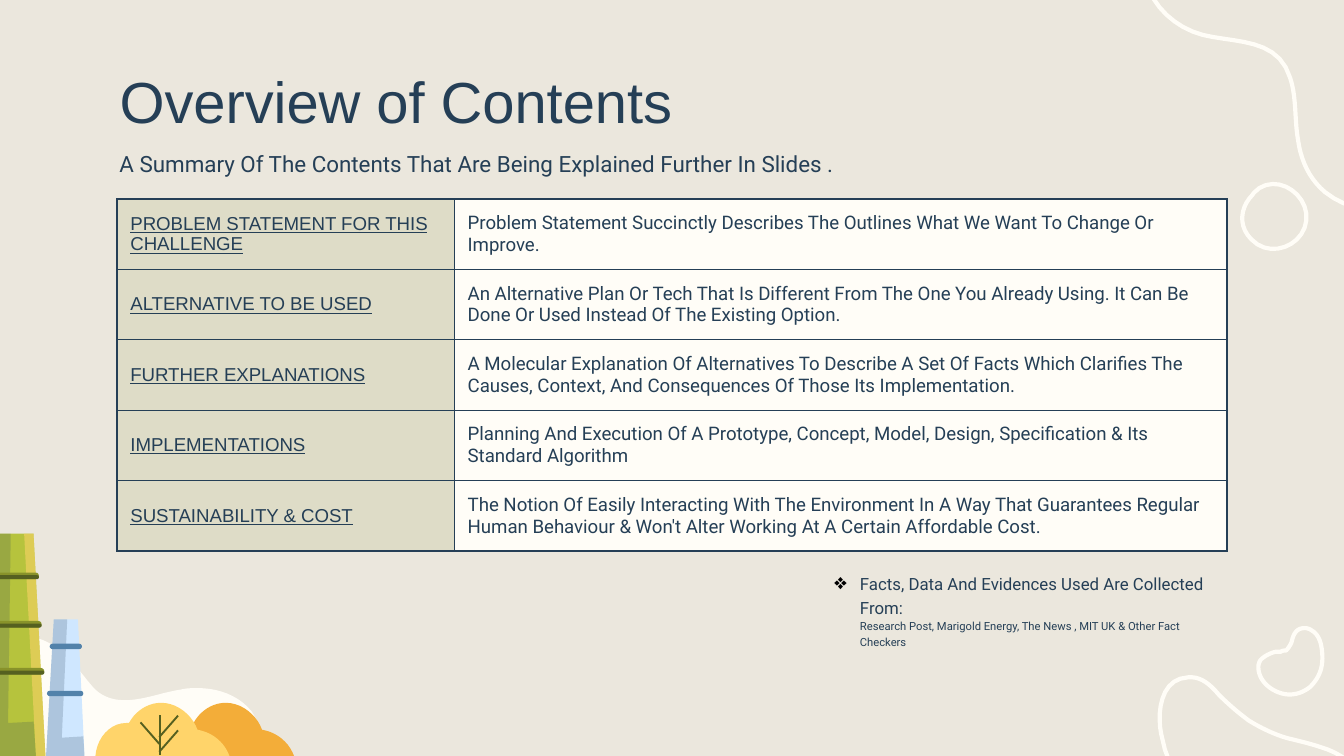
from pptx import Presentation
from pptx.dml.color import RGBColor
from pptx.enum import shapes, text
from pptx.oxml import ns, xmlchemy
from pptx.util import Inches, Pt


class Theme:
    paper, cream, navy, black = "EBE7DD", "FFFDF7", "253F56", "000000"
    green, olive, moss = "B6C33D", "88922A", "556020"
    sky, blue, yellow, orange = "CFE7FF", "5282AA", "FFD46A", "F3AD39"
    heading, body = "Arial", "Roboto"
    title_size, subtitle_size, table_size, note_size, source_size = 31, 12, 10, 9, 6


T = Theme()
ROWS = [
    ("PROBLEM STATEMENT FOR THIS CHALLENGE",
     "Problem Statement Succinctly Describes The Outlines What We Want To Change Or Improve."),
    ("ALTERNATIVE TO BE USED", "An Alternative Plan Or Tech That Is Different From The One You "
     "Already Using. It Can Be Done Or Used Instead Of The Existing Option."),
    ("FURTHER EXPLANATIONS", "A Molecular Explanation Of Alternatives To Describe A Set Of Facts "
     "Which Clarifies The Causes, Context, And Consequences Of Those Its Implementation."),
    ("IMPLEMENTATIONS", "Planning And Execution Of A Prototype, Concept, Model, Design, "
     "Specification & Its Standard Algorithm"),
    ("SUSTAINABILITY & COST", "The Notion Of Easily Interacting With The Environment In A Way That "
     "Guarantees Regular Human Behaviour & Won't Alter Working At A Certain Affordable Cost."),
]

# Curves: a start point, then two control points and an end point per segment.
HILL = [(.11, .72), (-.03, .72, -.16, .77, -.26, .86), (-.43, .93, -.55, 1.1, -.56, 1.29),
        (-.57, 1.49, -.44, 1.68, -.26, 1.76), (-.16, 1.81, -.05, 1.82, .07, 1.83),
        (.19, 1.84, .32, 1.85, .45, 1.85), (.71, 1.86, .97, 1.86, 1.23, 1.86),
        (1.31, 1.86, 1.4, 1.87, 1.49, 1.87), (1.52, 1.87, 1.56, 1.87, 1.59, 1.87),
        (1.69, 1.86, 1.79, 1.83, 1.86, 1.76), (1.97, 1.63, 1.97, 1.43, 1.87, 1.29),
        (1.77, 1.17, 1.62, 1.12, 1.47, 1.12), (1.43, 1.12, 1.39, 1.12, 1.35, 1.13),
        (1.21, 1.15, 1.07, 1.21, .93, 1.21), (.85, 1.21, .76, 1.19, .69, 1.11),
        (.62, 1.03, .56, .94, .48, .87), (.4, .79, .3, .74, .18, .73), (.16, .72, .13, .72, .11, .72)]
SWIRL = [(.64, -.68), (.55, -.58, .49, -.45, .5, -.31), (.5, -.03, .69, .19, .95, .26),
         (1.19, .32, 1.51, .28, 1.6, .58), (1.65, .73, 1.63, .89, 1.66, 1.05),
         (1.68, 1.19, 1.74, 1.33, 1.86, 1.43), (2.07, 1.6, 2.37, 1.6, 2.58, 1.42),
         (2.61, 1.4, 2.63, 1.39, 2.65, 1.36), (2.82, 1.16, 2.79, .88, 2.74, .63),
         (2.72, .49, 2.7, .34, 2.76, .21), (2.78, .19, 2.79, .16, 2.81, .14),
         (2.88, .06, 3, .02, 3.09, -.04), (3.17, -.08, 3.25, -.14, 3.31, -.21),
         (3.42, -.35, 3.5, -.51, 3.5, -.69), (3.51, -.96, 3.36, -1.23, 3.12, -1.37),
         (2.89, -1.5, 2.58, -1.5, 2.35, -1.36), (2.28, -1.32, 2.24, -1.28, 2.18, -1.22),
         (1.93, -.95, 1.56, -.83, 1.19, -.88), (1.1, -.89, 1.02, -.89, .93, -.87),
         (.82, -.84, .71, -.77, .64, -.68)]
RING = [(1.37, 1.4), (1.35, 1.42, 1.33, 1.43, 1.32, 1.45), (1.23, 1.54, 1.21, 1.68, 1.31, 1.78),
        (1.45, 1.93, 1.7, 1.83, 1.72, 1.64), (1.74, 1.46, 1.53, 1.3, 1.37, 1.4)]
WAVE = [(2.16, 1.93), (2.14, 2.13, 1.95, 2.25, 1.77, 2.28), (1.66, 2.3, 1.54, 2.29, 1.43, 2.27),
        (1.42, 2.27, 1.42, 2.27, 1.41, 2.26), (1.02, 2.18, .71, 1.86, .64, 1.46),
        (.61, 1.31, .63, 1.05, .84, 1.04), (.94, 1.03, 1.01, 1.1, 1.07, 1.17),
        (1.14, 1.24, 1.21, 1.3, 1.29, 1.36), (1.37, 1.41, 1.47, 1.46, 1.57, 1.49),
        (1.65, 1.51, 1.74, 1.53, 1.83, 1.56), (2, 1.61, 2.17, 1.74, 2.16, 1.93)]
BEAN = [(1.75, 1.11), (1.69, 1.16, 1.61, 1.18, 1.54, 1.16), (1.46, 1.14, 1.39, 1.08, 1.37, 1.01),
        (1.36, .97, 1.36, .94, 1.38, .91), (1.41, .88, 1.45, .86, 1.49, .85),
        (1.5, .85, 1.51, .85, 1.53, .85), (1.54, .84, 1.56, .84, 1.57, .84),
        (1.59, .82, 1.6, .8, 1.61, .78), (1.62, .74, 1.63, .7, 1.67, .68),
        (1.7, .67, 1.73, .67, 1.76, .69), (1.83, .73, 1.84, .83, 1.84, .9),
        (1.84, .98, 1.81, 1.05, 1.75, 1.11)]
BUSH = [(0, .4), (.01, .26, .11, .15, .23, .15), (.23, .15, .24, .15, .25, .15),
        (.3, .06, .39, 0, .49, 0), (.61, 0, .72, .09, .76, .2), (.87, .22, .96, .29, 1, .4)]


def add_xml(parent, tag, **attributes):
    child = xmlchemy.OxmlElement(tag)
    for name, value in attributes.items():
        child.set(name, str(value))
    parent.append(child)
    return child


def fill_solid(fill, color, props=None, alpha=None):
    fill.solid()
    fill.fore_color.rgb = RGBColor.from_string(color)
    if alpha:
        add_xml(props.find(ns.qn("a:solidFill"))[0], "a:alpha", val=alpha * 1000)


def paint(sp, fill=None, line=None, alpha=None):
    sp.shadow.inherit = False
    sp.fill.background()
    sp.line.fill.background()
    if fill:
        fill_solid(sp.fill, fill, sp.element.spPr, alpha)
    if line:
        fill_solid(sp.line.fill, line)
        sp.line.width = Pt(2.25)


def flatten(curve, steps=10):
    """Turn cubic segments into closely spaced points."""
    points = [curve[0]]
    for x1, y1, x2, y2, x3, y3 in curve[1:]:
        x0, y0 = points[-1]
        for t in (i / steps for i in range(1, steps + 1)):
            a, b, c, d = (1 - t) ** 3, 3 * t * (1 - t) ** 2, 3 * t * t * (1 - t), t ** 3
            points.append((a * x0 + b * x1 + c * x2 + d * x3, a * y0 + b * y1 + c * y2 + d * y3))
    return points


def outline(s, x, y, points, **style):
    pts = [(Inches(x + px), Inches(y + py)) for px, py in points]
    fb = s.shapes.build_freeform(*pts[0])
    fb.add_line_segments(pts[1:], close=True)
    paint(fb.convert_to_shape(), **style)


def pill(s, x, y, w, h, fill):
    sp = s.shapes.add_shape(shapes.MSO_SHAPE.ROUNDED_RECTANGLE, *map(Inches, (x, y, w, h)))
    sp.adjustments[0] = .5
    paint(sp, fill)


def bamboo(s, x, y):
    for points, fill, alpha in (
            ([(0, 1.7), (.09, 0), (.37, 0), (.46, 1.68)], T.green, None),
            ([(0, 1.7), (.09, 0), (.2, 0), (.18, 1.41), (.37, 1.4), (.39, 1.69)], T.navy, 20),
            ([(.39, 1.69), (.46, 1.68), (.37, 0), (.3, 0)], T.yellow, 54),
            ([(.46, 1.7), (.52, .64), (.7, .64), (.75, 1.69)], T.sky, None),
            ([(.62, .64), (.52, .64), (.46, 1.7), (.75, 1.69), (.74, 1.51), (.58, 1.52)], T.navy, 20)):
        outline(s, x, y, points, fill=fill, alpha=alpha)
    for left, top, w in ((.04, .29, .37), (.02, .65, .41), (.01, 1, .44)):
        pill(s, x + left, y + top, w, .05, T.olive)
        pill(s, x + left, y + top + .02, w, .03, T.moss)
    for left, top, w in ((.49, .82, .24), (.47, 1.17, .27)):
        pill(s, x + left, y + top, w, .04, T.blue)


def bushes(s, x, y):
    outline(s, x + .48, y, flatten(BUSH), fill=T.orange)
    outline(s, x, y, flatten(BUSH), fill=T.yellow)
    trunk = [(0, 0), (.02, 0), (.02, .3), (0, .3)]
    branch = [(.15, .01), (.01, .17), (0, .16), (.14, 0)]
    mirrored = [(.15 - px, py) for px, py in branch]
    for left, top, points in ((.47, .09, trunk), (.47, .2, branch), (.47, .09, branch), (.33, .14, mirrored)):
        outline(s, x + left, y + top, points, fill=T.moss)


def set_font(font, name, size, underline=None):
    font.name, font.size, font.underline = name, Pt(size), underline
    font.color.rgb = RGBColor.from_string(T.navy)


def place_frame(sp, x, y, w, h):
    sp.left, sp.top, sp.width, sp.height = map(Inches, (x, y, w, h))
    tf = sp.text_frame
    tf.word_wrap, tf.auto_size, tf.vertical_anchor = True, text.MSO_AUTO_SIZE.NONE, text.MSO_ANCHOR.TOP
    tf.margin_left = tf.margin_right = tf.margin_top = tf.margin_bottom = Inches(.1)
    return tf.paragraphs[0]


def heading(s, x, y, w):
    p = place_frame(s.shapes.title, x, y, w, .63)
    p.text, p.alignment = "Overview of Contents", text.PP_ALIGN.LEFT
    set_font(p.font, T.heading, T.title_size)
    p = place_frame(s.shapes.add_textbox(0, 0, 0, 0), x, y + .63, w, .39)
    p.text = "A Summary Of The Contents That Are Being Explained Further In Slides ."
    set_font(p.font, T.body, T.subtitle_size)


def contents_table(s, x, y, widths, row_height):
    box = map(Inches, (x, y, sum(widths), row_height * len(ROWS)))
    table = s.shapes.add_table(len(ROWS), 2, *box).table
    table.first_row = table.horz_banding = False
    for column, width in zip(table.columns, widths):
        column.width = Inches(width)
    styles = ((T.heading, True, T.olive, 12), (T.body, False, T.cream, None))
    for i, row in enumerate(ROWS):
        for j, (words, (name, underline, fill, alpha)) in enumerate(zip(row, styles)):
            cell = table.cell(i, j)
            cell.text, cell.vertical_anchor = words, text.MSO_ANCHOR.MIDDLE
            cell.margin_left = cell.margin_right = cell.margin_top = cell.margin_bottom = Inches(.1)
            set_font(cell.text_frame.paragraphs[0].font, name, T.table_size, underline)
            props = cell._tc.get_or_add_tcPr()
            for side in "LRTB":
                ln = add_xml(props, f"a:ln{side}", w=Pt(.75))
                add_xml(add_xml(ln, "a:solidFill"), "a:srgbClr", val=T.navy)
            fill_solid(cell.fill, fill, props, alpha)


def source_note(s, x, y, w, h):
    p = place_frame(s.shapes.add_textbox(0, 0, 0, 0), x, y, w, h)
    props = p._p.get_or_add_pPr()
    props.set("marL", str(Inches(.19)))
    props.set("indent", str(-Inches(.19)))
    add_xml(add_xml(props, "a:buClr"), "a:srgbClr", val=T.black)
    add_xml(props, "a:buSzPct", val=130000)
    add_xml(props, "a:buChar", char="❖")
    p.line_spacing = 1.15
    r = p.add_run()
    r.text = "Facts, Data And Evidences Used Are Collected From:"
    set_font(r.font, T.body, T.note_size)
    p.add_line_break()
    r = p.add_run()
    r.text = "Research Post, Marigold Energy, The News , MIT UK & Other Fact Checkers"
    set_font(r.font, T.body, T.source_size)


prs = Presentation()
prs.slide_width, prs.slide_height = Inches(10), Inches(10) * 9 // 16
s = prs.slides.add_slide(prs.slide_layouts[5])
fill_solid(s.background.fill, T.paper)
outline(s, 0, 4, flatten(HILL), fill=T.cream)
for top, curves in ((0, (SWIRL, RING)), (4, (WAVE, BEAN))):
    for curve in curves:
        outline(s, 8, top, flatten(curve), line=T.cream)
bamboo(s, -.12, 3.97)
bushes(s, .71, 5.23)
heading(s, .79, .39, 8.43)
contents_table(s, .87, 1.48, (2.51, 5.75), .52)
source_note(s, 6.11, 4.15, 3.11, .63)
prs.save("out.pptx")
